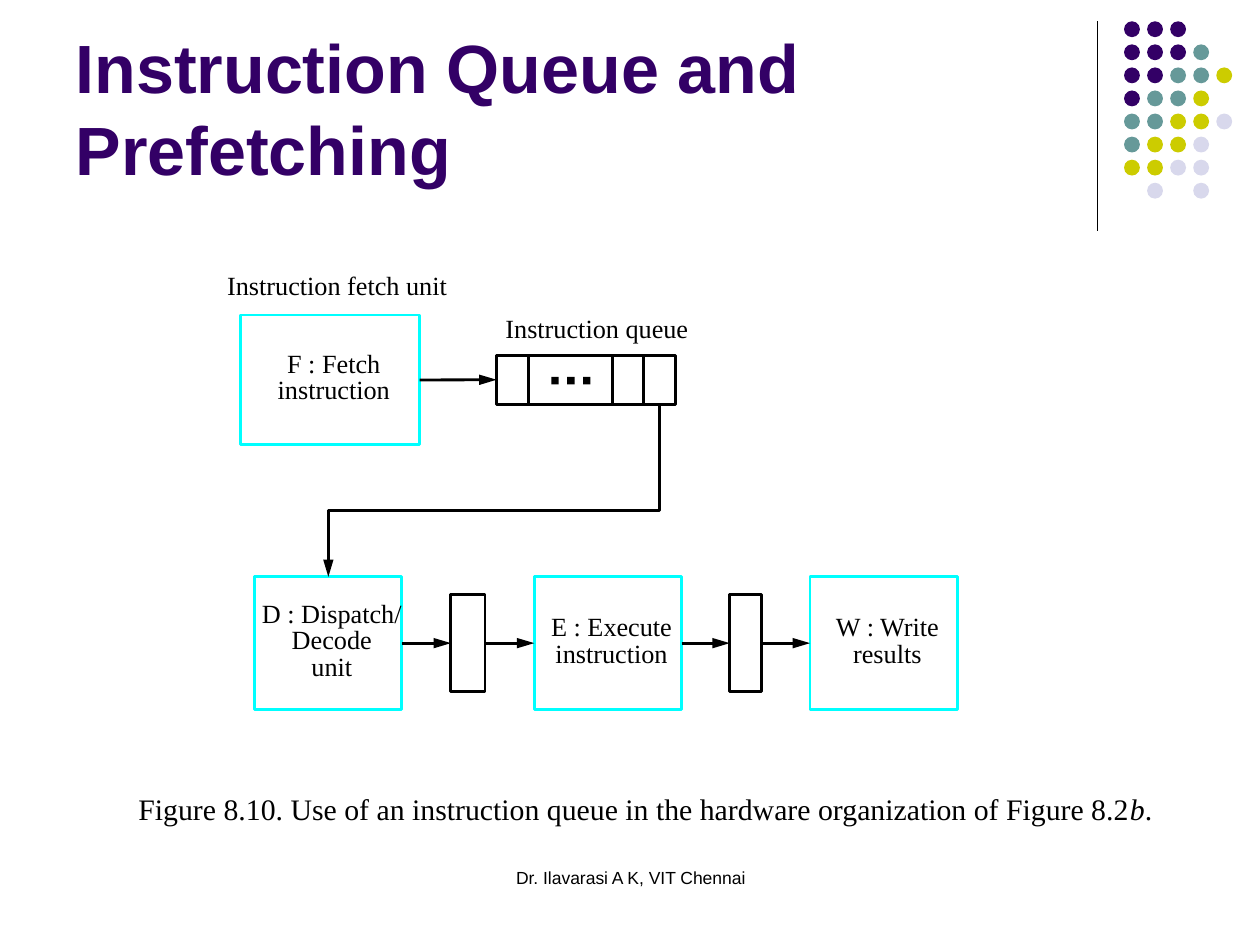
from lxml.etree import SubElement
from pptx import Presentation
from pptx.dml.color import RGBColor
from pptx.enum.shapes import MSO_CONNECTOR, MSO_SHAPE
from pptx.enum.text import MSO_ANCHOR, MSO_AUTO_SIZE, PP_ALIGN
from pptx.oxml.ns import qn
from pptx.util import Cm, Pt

COLORS = {"ink": "000000", "frame": "00FFFF", "purple": "330066",
          "teal": "669999", "lime": "CCCC00", "lilac": "D8D8EC"}
DOT_COLORS = {"P": "purple", "T": "teal", "Y": "lime", "L": "lilac"}
DOT_ROWS = ["PPP", "PPPT", "PPTTY", "PTTY", "TTYYL", "TYYL", "YYLL", " L L"]

TITLE = {"name": "Arial", "size": Pt(39), "bold": True}
LABEL = {"name": "Times New Roman", "size": Pt(15)}
CAPTION = {"name": "Times New Roman", "size": Pt(17)}
FOOTER = {"name": "Arial", "size": Pt(10)}
STROKE = 1.62


def rgb(name):
    return RGBColor.from_string(COLORS[name])


def set_values(target, values):
    for name, value in values.items():
        setattr(target, name, value)


def set_font(font, values, color="ink"):
    set_values(font, values)
    font.color.rgb = rgb(color)


def set_margins(frame, left=0, top=0, right=0, bottom=0):
    set_values(frame, {"margin_left": Cm(left), "margin_top": Cm(top),
                       "margin_right": Cm(right), "margin_bottom": Cm(bottom)})


def add_box(page, box, fill=None, line=None, kind=MSO_SHAPE.RECTANGLE):
    shape = page.shapes.add_shape(kind, *map(Cm, box))
    shape.shadow.inherit = False
    if fill:
        shape.fill.solid()
        shape.fill.fore_color.rgb = rgb(fill)
    else:
        shape.fill.background()
    if line:
        shape.line.color.rgb = rgb(line)
        shape.line.width = Pt(STROKE)
    else:
        shape.line.fill.background()
    return shape


def add_text(page, box, spans, font):
    frame = page.shapes.add_textbox(*map(Cm, box)).text_frame
    frame.word_wrap = False
    set_margins(frame)
    para = frame.paragraphs[0]
    para.alignment = PP_ALIGN.LEFT
    for text, italic in spans:
        span = para.add_run()
        span.text = text
        set_font(span.font, {**font, "italic": italic})
    return frame


def add_arrowhead(shape):
    SubElement(shape.line._get_or_add_ln(), qn("a:tailEnd"),
               type="triangle", w="med", len="lg")


def add_line(page, start, end, width=STROKE):
    line = page.shapes.add_connector(MSO_CONNECTOR.STRAIGHT, *map(Cm, start + end))
    SubElement(line._element.spPr, qn("a:effectLst"))
    line.line.color.rgb = rgb("ink")
    line.line.width = Pt(width)
    return line


def add_arrow(page, source, target):
    """Arrow from the right side of source to the left side of target."""
    arrow = add_line(page, (0, 0), (1, 0))
    arrow.begin_connect(source, 3)
    arrow.end_connect(target, 1)
    add_arrowhead(arrow)


def add_title(page, box, text):
    title = page.shapes.title
    set_values(title, dict(zip(("left", "top", "width", "height"), map(Cm, box))))
    frame = title.text_frame
    set_values(frame, {"text": text, "word_wrap": True,
                       "auto_size": MSO_AUTO_SIZE.NONE,
                       "vertical_anchor": MSO_ANCHOR.BOTTOM})
    para = frame.paragraphs[0]
    para.alignment = PP_ALIGN.LEFT
    set_font(para.runs[0].font, TITLE, "purple")


def add_corner_dots(page, box):
    left, top, pitch, size = box
    add_line(page, (left - 0.54, top), (left - 0.54, top + 4.22), 0.75)
    for row, codes in enumerate(DOT_ROWS):
        for column, code in enumerate(codes):
            if code in DOT_COLORS:
                spot = (left + column * pitch, top + row * pitch, size, size)
                add_box(page, spot, fill=DOT_COLORS[code], kind=MSO_SHAPE.OVAL)


def add_stage(page, box, lines):
    stage = add_box(page, box, line="frame")
    frame = stage.text_frame
    set_values(frame, {"text": "\n".join(lines), "word_wrap": False,
                       "vertical_anchor": MSO_ANCHOR.MIDDLE})
    set_margins(frame, left=0.15, bottom=0.04)
    for para in frame.paragraphs:
        set_values(para, {"alignment": PP_ALIGN.CENTER, "line_spacing": Pt(15)})
        set_font(para.runs[0].font, LABEL)
    return stage


def add_queue(page, box):
    left, top, width, height = box
    add_text(page, (left + 0.18, top - 0.86, 4, 0.64),
             [("Instruction queue", False)], LABEL)
    queue = add_box(page, box, line="ink")
    for offset in (0.64, 2.34, 2.97):
        add_line(page, (left + offset, top), (left + offset, top + height))
    # Ellipsis squares in the wide cell
    size, pitch = 0.15, 0.32
    for index in (-1, 0, 1):
        add_box(page, (left + 1.5 + index * pitch - size / 2,
                       top + height / 2 - size / 2 + 0.02, size, size), fill="ink")
    return queue


def add_elbow(page, points):
    start, *rest = [(Cm(x), Cm(y)) for x, y in points]
    builder = page.shapes.build_freeform(*start)
    builder.add_line_segments(rest, close=False)
    elbow = builder.convert_to_shape()
    elbow.shadow.inherit = False
    elbow.fill.background()
    elbow.line.color.rgb = rgb("ink")
    elbow.line.width = Pt(STROKE)
    add_arrowhead(elbow)


def add_fetch_row(page, box):
    left, top = box
    add_text(page, (left - 0.27, top - 0.93, 4.8, 0.64),
             [("Instruction fetch unit", False)], LABEL)
    fetch = add_stage(page, (left, top, 3.61, 2.62), ["F : Fetch", "instruction"])
    queue = add_queue(page, (left + 5.16, top + 0.81, 3.61, 0.99))
    add_arrow(page, fetch, queue)


def add_pipeline_row(page, box):
    left, top, width, height = box
    stages = [(0, ["D : Dispatch/", "Decode", "unit"]),
              (5.64, ["E : Execute", "instruction"]),
              (11.2, ["W : Write", "results"])]
    buffers = [(3.96, 0.69), (9.58, 0.64)]
    dispatch, execute, write = [
        add_stage(page, (left + offset, top, width, height), lines)
        for offset, lines in stages]
    first, second = [
        add_box(page, (left + offset, top + 0.35, thickness, height - 0.7), line="ink")
        for offset, thickness in buffers]
    chain = [dispatch, first, execute, second, write]
    for source, target in zip(chain, chain[1:]):
        add_arrow(page, source, target)


def add_footer(page, box, text):
    frame = add_text(page, box, [(text, False)], FOOTER)
    frame.word_wrap = True
    set_margins(frame, 0.25, 0.13, 0.25, 0.13)
    frame.paragraphs[0].alignment = PP_ALIGN.CENTER


def main():
    deck = Presentation()
    deck.slide_width, deck.slide_height = Cm(25.4), Cm(19.05)
    page = deck.slides.add_slide(deck.slide_layouts.get_by_name("Title Only"))

    # Heading and corner ornament
    add_corner_dots(page, (22.66, 0.43, 0.465, 0.32))
    add_title(page, (1.27, 0.33, 20.96, 3.61), "Instruction Queue and Prefetching")

    # Diagram
    add_fetch_row(page, (4.85, 6.35))
    add_pipeline_row(page, (5.13, 11.63, 2.97, 2.67))
    add_elbow(page, [(13.3, 8.15), (13.3, 10.29), (6.62, 10.29), (6.62, 11.63)])

    # Caption and footer
    add_text(page, (2.79, 15.94, 20.8, 0.71),
             [("Figure 8.10. Use of an instruction queue in the hardware "
               "organization of Figure 8.2", False), ("b", True), (".", False)], CAPTION)
    add_footer(page, (8.69, 17.35, 8.05, 1.27), "Dr. Ilavarasi A K, VIT Chennai")
    deck.save("out.pptx")


if __name__ == "__main__":
    main()
